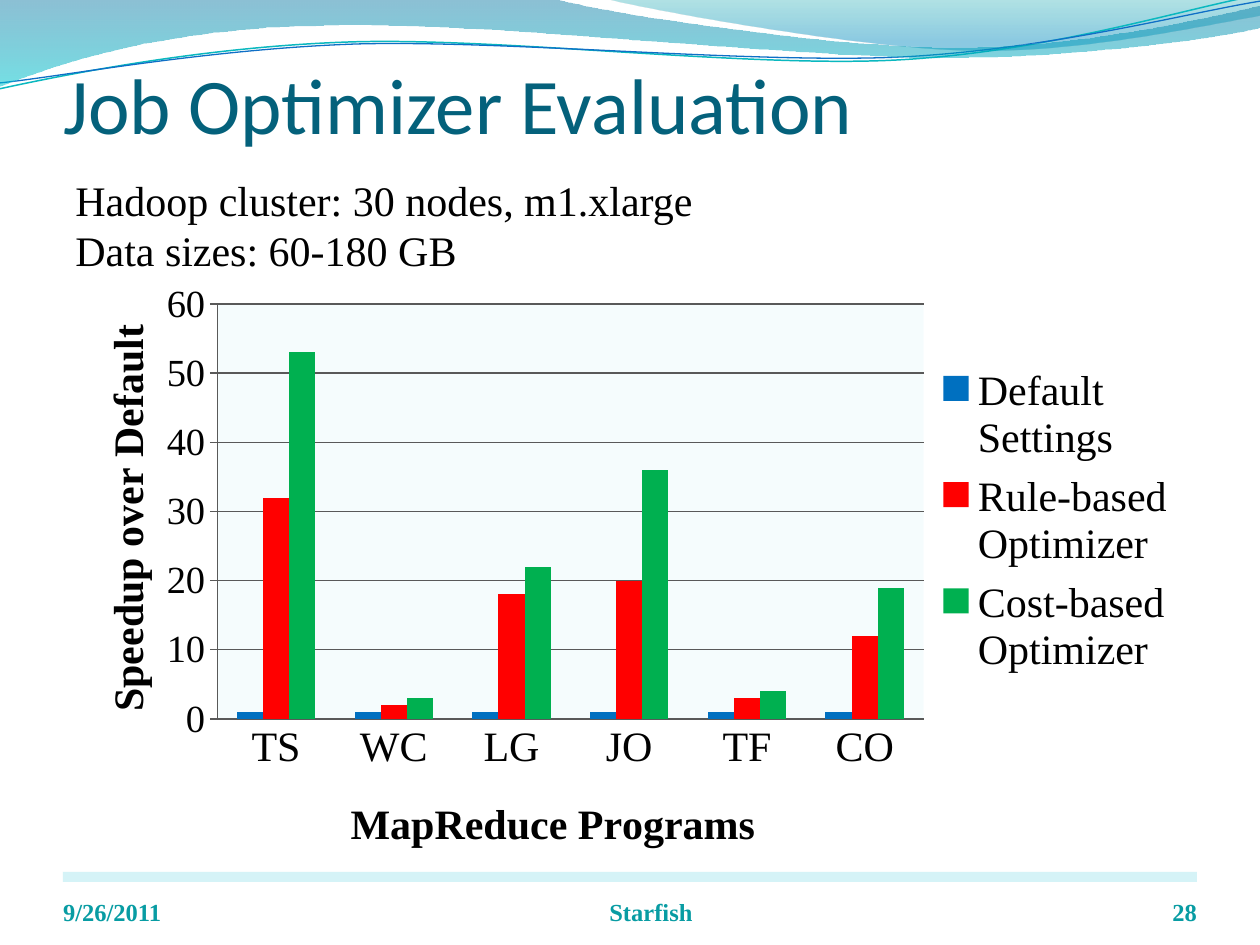
from lxml.etree import SubElement
from pptx import Presentation
from pptx.chart.data import CategoryChartData
from pptx.dml.color import RGBColor
from pptx.enum.chart import XL_CHART_TYPE, XL_LEGEND_POSITION, XL_TICK_MARK
from pptx.enum.shapes import MSO_SHAPE
from pptx.enum.text import MSO_ANCHOR, PP_ALIGN
from pptx.oxml import parse_xml
from pptx.oxml.ns import nsdecls, qn
from pptx.util import Pt

PX = 914400 / 126
SERIF = "Times New Roman"
BLACK = RGBColor(0x00, 0x00, 0x00)
TITLE_BLUE = RGBColor(0x04, 0x61, 0x7B)
FOOTER_TEAL = RGBColor(0x08, 0x9C, 0xA3)
RULE_AQUA = RGBColor(0xB3, 0xEA, 0xF2)
PLOT_AQUA = RGBColor(0xDB, 0xF5, 0xF9)
AXIS_GRAY = RGBColor(0x59, 0x59, 0x59)
LINE_TEAL = RGBColor(0x0A, 0xB8, 0xBF)
LINE_BLUE = RGBColor(0x0F, 0x6F, 0xC6)
DEEP_TEAL = RGBColor(0x00, 0xA1, 0xA9)
SKY = RGBColor(0x00, 0x8B, 0xBF)
OCEAN = RGBColor(0x00, 0x74, 0xA1)
CYAN = RGBColor(0x00, 0xC6, 0xCF)

# A segment of one point is straight; a segment of three is a cubic curve.
RIGHT_WAVE = [[(604, -1)], [(641, 9), (859, 48), (969, 50)],
              [(1079, 53), (1211, 24), (1260, 16)], [(1260, 0)]]
LEFT_WAVE = [[(0, -1)], [(554, -1)], [(600, 13), (837, 48), (955, 48)],
             [(1075, 48), (1207, 19), (1260, 6)], [(1261, 28)],
             [(1239, 34), (1096, 58), (940, 58)],
             [(783, 58), (481, 21), (324, 26)], [(163, 28), (58, 64), (-1, 87)]]
TEAL_CURVE = [[(-1, 89)], [(59, 76), (199, 47), (349, 42)],
              [(499, 37), (746, 68), (897, 60)], [(1048, 52), (1183, 9), (1259, -5)]]
BLUE_CURVE = [[(-1, 83)], [(59, 77), (207, 49), (357, 44)],
              [(508, 40), (752, 64), (902, 57)], [(1053, 49), (1187, 13), (1261, 1)]]

CHART_BOX = (63, 273, 1134, 588)
CATEGORIES = ["TS", "WC", "LG", "JO", "TF", "CO"]
SERIES = [
    ("Default Settings", [1, 1, 1, 1, 1, 1], RGBColor(0x00, 0x70, 0xC0)),
    ("Rule-based Optimizer", [32, 2, 18, 20, 3, 12], RGBColor(0xFF, 0x00, 0x00)),
    ("Cost-based Optimizer", [53, 3, 22, 36, 4, 19], RGBColor(0x00, 0xB0, 0x50)),
]


def px(*lengths):
    return [round(length * PX) for length in lengths]


def set_opacity(properties, *percents):
    """Give each colour inside the fill its opacity, in order."""
    for color, percent in zip(properties.iter(qn("a:srgbClr")), percents):
        SubElement(color, qn("a:alpha")).set("val", str(percent * 1000))


def add_outline(slide, segments, closed):
    """Build the outline through the segment ends, then bend its curved segments."""
    start, *ends = [segment[-1] for segment in segments]
    builder = slide.shapes.build_freeform(*px(*start))
    builder.add_line_segments([px(*end) for end in ends], close=closed)
    shape = builder.convert_to_shape()
    shape.shadow.inherit = False
    lines = list(shape._element.iter(qn("a:lnTo")))
    for line, segment in zip(lines, segments[1:]):
        if len(segment) == 3:
            line.tag = qn("a:cubicBezTo")
            line.clear()
            for point in segment:
                x, y = px(*point)
                node = SubElement(line, qn("a:pt"))
                node.set("x", str(x - shape.left))
                node.set("y", str(y - shape.top))
    return shape


def add_wave(slide, segments, stops):
    """Stops run downwards: (position, colour, opacity percent)."""
    shape = add_outline(slide, segments, closed=True)
    shape.fill.gradient()
    shape.fill.gradient_angle = 270
    for stop, (position, color, _) in zip(shape.fill.gradient_stops, stops):
        stop.position = position
        stop.color.rgb = color
    set_opacity(shape._element.spPr, *(opacity for _, _, opacity in stops))
    shape.line.fill.background()


def add_curve(slide, segments, color, width):
    shape = add_outline(slide, segments, closed=False)
    shape.fill.background()
    shape.line.color.rgb = color
    shape.line.width = Pt(width)


def add_footer_rule(slide):
    shape = slide.shapes.add_shape(MSO_SHAPE.RECTANGLE, *px(63, 872, 1134, 10))
    shape.shadow.inherit = False
    shape.fill.solid()
    shape.fill.fore_color.rgb = RULE_AQUA
    set_opacity(shape._element.spPr, 55)
    shape.line.fill.background()


def set_font(font, size, color=BLACK, name=SERIF, bold=False):
    font.size = Pt(size)
    font.color.rgb = color
    font.name = name
    font.bold = bold


def write_text(shape, text, anchor=MSO_ANCHOR.TOP, align=PP_ALIGN.LEFT,
               margins=None, **font_format):
    frame = shape.text_frame
    frame.word_wrap = True
    frame.vertical_anchor = anchor
    if margins:
        (frame.margin_left, frame.margin_top,
         frame.margin_right, frame.margin_bottom) = px(*margins)
    frame.text = text
    for paragraph in frame.paragraphs:
        paragraph.alignment = align
        set_font(paragraph.font, **font_format)


def add_text(slide, box, text, **text_format):
    write_text(slide.shapes.add_textbox(*px(*box)), text, **text_format)


def add_title(slide, text):
    title = slide.shapes.title
    title.left, title.top, title.width, title.height = px(63, 42, 1134, 116)
    write_text(title, text, anchor=MSO_ANCHOR.MIDDLE, margins=(0, 6, 0, 0),
               size=45, color=TITLE_BLUE, name="Calibri")
    slide.shapes._spTree.append(title._element)


def place_in_chart(element, index, box, target=""):
    """Lay a chart part out at a slide position, with or without a size."""
    for layout in element.findall(qn("c:layout")):
        element.remove(layout)
    left, top, width, height = CHART_BOX
    offsets = (left, top, 0, 0)
    sizes = (width, height, width, height)
    parts = "".join(f'<c:{name} val="{(length - offset) / size:.3f}"/>'
                    for name, length, offset, size in zip("xywh", box, offsets, sizes))
    element.insert(index, parse_xml(
        f'<c:layout {nsdecls("c")}><c:manualLayout>{target}<c:xMode val="edge"/>'
        f'<c:yMode val="edge"/>{parts}</c:manualLayout></c:layout>'))


def format_axis(axis, title, title_position, size, tick):
    axis.has_title = True
    axis.axis_title.text_frame.text = title
    set_font(axis.axis_title.text_frame.paragraphs[0].runs[0].font, 24, bold=True)
    place_in_chart(axis.axis_title._element, 1, title_position)
    set_font(axis.tick_labels.font, size)
    axis.major_tick_mark = tick
    axis.minor_tick_mark = XL_TICK_MARK.NONE
    axis.format.line.color.rgb = AXIS_GRAY


def format_plot_area(chart):
    plot_area = chart._chartSpace.chart.plotArea
    place_in_chart(plot_area, 0, (217, 304, 707, 417), '<c:layoutTarget val="inner"/>')
    properties = parse_xml(
        f'<c:spPr {nsdecls("c", "a")}><a:solidFill><a:srgbClr val="{PLOT_AQUA}"/>'
        '</a:solidFill><a:ln><a:noFill/></a:ln></c:spPr>')
    set_opacity(properties, 25)
    plot_area.append(properties)


def add_speedup_chart(slide):
    data = CategoryChartData()
    data.categories = CATEGORIES
    for name, values, _ in SERIES:
        data.add_series(name, values)
    chart = slide.shapes.add_chart(XL_CHART_TYPE.COLUMN_CLUSTERED,
                                   *px(*CHART_BOX), data).chart
    chart.has_title = False
    set_font(chart.font, 24)
    plot = chart.plots[0]
    plot.gap_width = 150
    plot.overlap = 0
    plot.vary_by_categories = False
    for series, (_, _, color) in zip(plot.series, SERIES):
        series.format.fill.solid()
        series.format.fill.fore_color.rgb = color
    format_axis(chart.category_axis, "MapReduce Programs", (343, 791), 24,
                XL_TICK_MARK.NONE)
    value_axis = chart.value_axis
    format_axis(value_axis, "Speedup over Default", (93, 319), 22, XL_TICK_MARK.OUTSIDE)
    value_axis.minimum_scale, value_axis.maximum_scale, value_axis.major_unit = 0, 60, 10
    value_axis.major_gridlines.format.line.color.rgb = AXIS_GRAY
    chart.has_legend = True
    chart.legend.position = XL_LEGEND_POSITION.RIGHT
    chart.legend.include_in_layout = False
    set_font(chart.legend.font, 24)
    place_in_chart(chart.legend._element, 1, (930, 356, 250, 332))
    format_plot_area(chart)


def main():
    presentation = Presentation()
    presentation.slide_width, presentation.slide_height = px(1260, 945)
    slide = presentation.slides.add_slide(presentation.slide_layouts[5])
    add_footer_rule(slide)
    add_wave(slide, RIGHT_WAVE, [(0, DEEP_TEAL, 30), (0.8, SKY, 45)])
    add_curve(slide, TEAL_CURVE, LINE_TEAL, 0.85)
    add_curve(slide, BLUE_CURVE, LINE_BLUE, 0.75)
    add_wave(slide, LEFT_WAVE, [(0, OCEAN, 45), (1, CYAN, 55)])
    add_title(slide, "Job Optimizer Evaluation")
    add_text(slide, (63, 168, 1134, 115),
             "Hadoop cluster: 30 nodes, m1.xlarge\nData sizes: 60-180 GB", size=24)
    add_speedup_chart(slide)
    for left, width, text, align in [(63, 294, "9/26/2011", PP_ALIGN.LEFT),
                                     (420, 462, "Starfish", PP_ALIGN.CENTER),
                                     (1092, 105, "28", PP_ALIGN.RIGHT)]:
        add_text(slide, (left, 876, width, 50), text, anchor=MSO_ANCHOR.BOTTOM,
                 align=align, margins=(0, 0, 0, 0), size=14, color=FOOTER_TEAL, bold=True)
    presentation.save("out.pptx")


if __name__ == "__main__":
    main()
